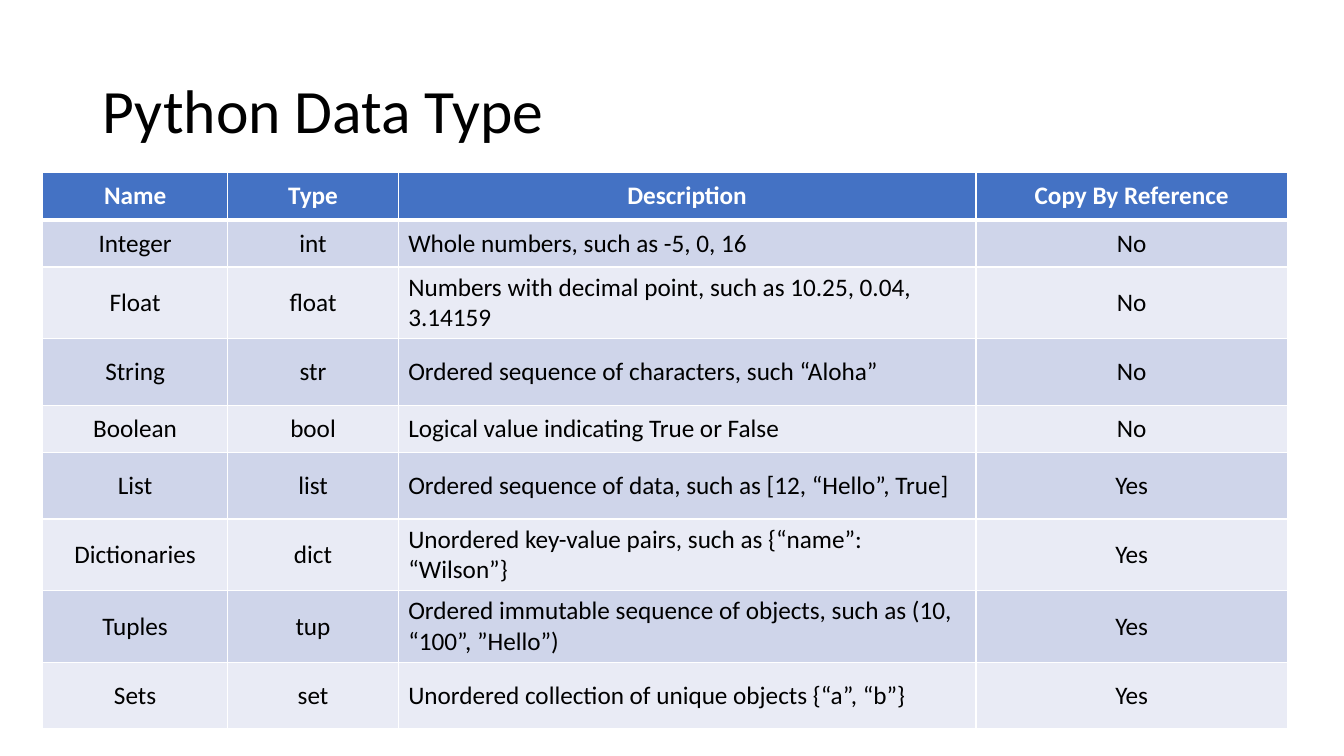
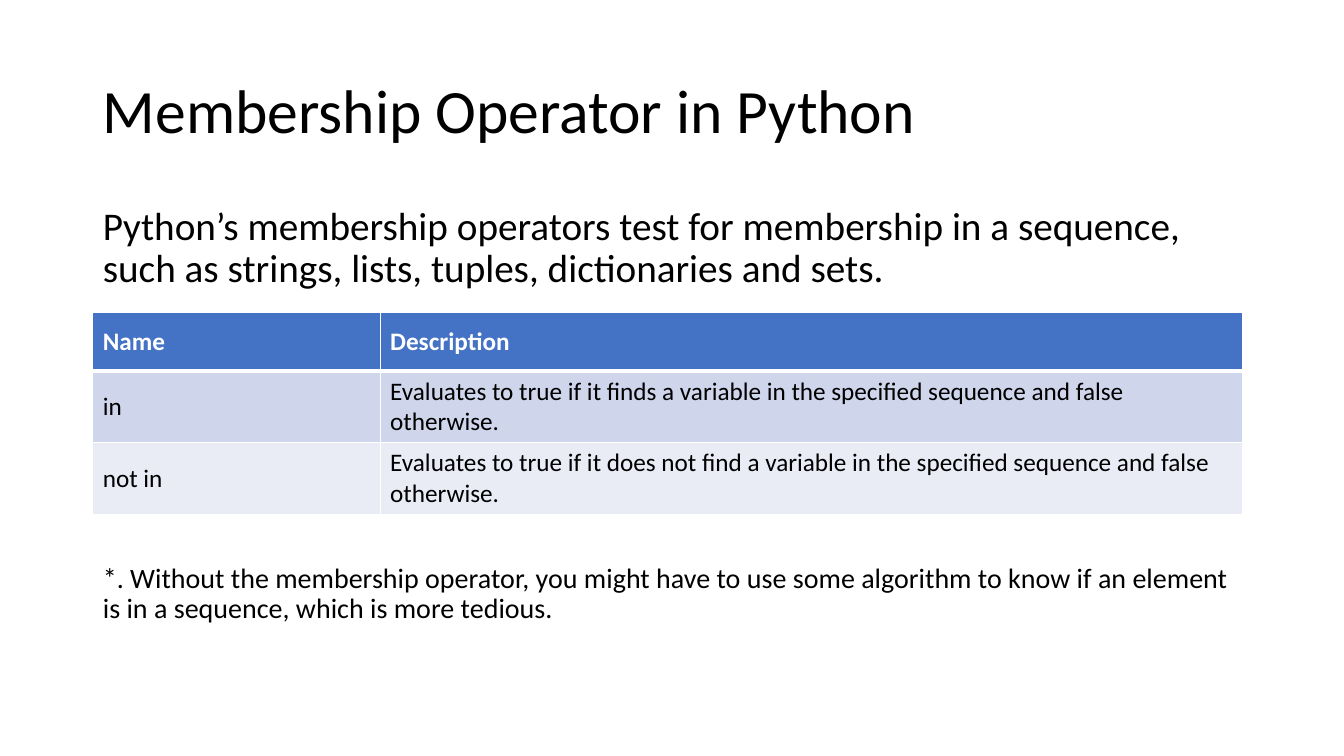
from lxml import etree
from pptx import Presentation, util as u
from pptx.dml.color import RGBColor
from pptx.enum import text
from pptx.oxml.ns import qn

PX = 9144  # EMU per px, 100 px to the inch
FONT = "Calibri"
COLORS = {"text": "000000", "header": "4472C4", "header_text": "FFFFFF",
          "band_dark": "CFD5EA", "band_light": "E9EBF5", "border": "FFFFFF"}
TITLE_ONLY, TITLE_AND_BODY = 5, 1
LEFT, CENTER = text.PP_ALIGN.LEFT, text.PP_ALIGN.CENTER


class Deck:
    """Holds the shared style and the current slide."""

    def __init__(self):
        self.prs = Presentation()
        self.prs.slide_width, self.prs.slide_height = 1333 * PX, 750 * PX
        self.s = None

    def slide(self, title, layout):
        self.s = self.prs.slides.add_slide(self.prs.slide_layouts[layout])
        sp = self.s.shapes.title
        self.place(sp, 92, 40, 1150, 145)
        tf = sp.text_frame
        tf.text = title
        tf.vertical_anchor = text.MSO_ANCHOR.MIDDLE
        self.style(tf.paragraphs[0], 44, spacing=0.9)

    def place(self, sp, x, y, w, h):
        sp.left, sp.top, sp.width, sp.height = (n * PX for n in (x, y, w, h))
        sp.text_frame.word_wrap = True
        sp.text_frame.auto_size = text.MSO_AUTO_SIZE.NONE

    def style(self, p, size, color="text", bold=False, align=LEFT, spacing=None):
        p.alignment = align
        p.line_spacing = spacing
        for r in p.runs:
            r.font.name, r.font.size, r.font.bold = FONT, u.Pt(size), bold
            r.font.color.rgb = RGBColor.from_string(COLORS[color])

    def body(self, x, y, w, h, items):
        """Fill the body with unbulleted (text, size, space before) items."""
        sp = self.s.placeholders[1]
        self.place(sp, x, y, w, h)
        tf = sp.text_frame
        tf.text = "\n".join(item[0] for item in items)
        for p, (_, size, before) in zip(tf.paragraphs, items):
            self.style(p, size, spacing=0.9)
            p.space_before = u.Pt(before)
            pPr = p._p.get_or_add_pPr()
            pPr.set("marL", "0")
            pPr.set("indent", "0")
            etree.SubElement(pPr, qn("a:buNone"))

    def borders(self, cell, top, bottom):
        tcPr = cell._tc.get_or_add_tcPr()
        sides = (("L", 1), ("R", 1), ("T", top), ("B", bottom))
        for i, (side, width) in enumerate(sides):
            ln = etree.Element(qn(f"a:ln{side}"), w=str(u.Pt(width)))
            fill = etree.SubElement(ln, qn("a:solidFill"))
            etree.SubElement(fill, qn("a:srgbClr"), val=COLORS["border"])
            tcPr.insert(i, ln)

    def table(self, x, y, cols, heights, rows, header_align, aligns):
        shape = self.s.shapes.add_table(len(rows), len(cols), x * PX, y * PX,
                                        sum(cols) * PX, sum(heights) * PX)
        tbl = shape.table
        for col, width in zip(tbl.columns, cols):
            col.width = width * PX
        for i, (row, height, values) in enumerate(zip(tbl.rows, heights, rows)):
            row.height = height * PX
            head = i == 0
            fill = "header" if head else "band_dark" if i % 2 else "band_light"
            for cell, value, align in zip(row.cells, values, aligns):
                cell.text_frame.text = value
                cell.vertical_anchor = text.MSO_ANCHOR.MIDDLE
                cell.fill.solid()
                cell.fill.fore_color.rgb = RGBColor.from_string(COLORS[fill])
                self.style(cell.text_frame.paragraphs[0], 18,
                           "header_text" if head else "text", head,
                           header_align if head else align)
                # Thick rule between the header and the first row
                self.borders(cell, 3 if i == 1 else 1, 3 if head else 1)


def main():
    deck = Deck()

    # Data types
    deck.slide("Python Data Type", TITLE_ONLY)
    low, high = 47, 66
    deck.table(
        42, 171, [184, 169, 573, 309],
        [low, low, high, high, low, high, high, high, high],
        [("Name", "Type", "Description", "Copy By Reference"),
         ("Integer", "int", "Whole numbers, such as -5, 0, 16", "No"),
         ("Float", "float",
          "Numbers with decimal point, such as 10.25, 0.04, 3.14159", "No"),
         ("String", "str", "Ordered sequence of characters, such “Aloha”", "No"),
         ("Boolean", "bool", "Logical value indicating True or False", "No"),
         ("List", "list",
          "Ordered sequence of data, such as [12, “Hello”, True]", "Yes"),
         ("Dictionaries", "dict",
          "Unordered key-value pairs, such as {“name”: “Wilson”}", "Yes"),
         ("Tuples", "tup",
          "Ordered immutable sequence of objects, such as (10, “100”, ”Hello”)",
          "Yes"),
         ("Sets", "set", "Unordered collection of unique objects {“a”, “b”}",
          "Yes")],
        CENTER, [CENTER, CENTER, LEFT, CENTER])

    # Membership operators, with the note set below the table
    deck.slide("Membership Operator in Python", TITLE_AND_BODY)
    deck.body(92, 200, 1150, 476, [
        ("Python’s membership operators test for membership in a sequence, "
         "such as strings, lists, tuples, dictionaries and sets.", 28, 10),
        ("*. Without the membership operator, you might have to use some "
         "algorithm to know if an element is in a sequence, which is more "
         "tedious.", 20, 195)])
    evaluates = "Evaluates to true if it {} a variable in the specified sequence and false otherwise."
    deck.table(
        92, 310, [285, 855], [58] * 3,
        [("Name", "Description"),
         ("in", evaluates.format("finds")),
         ("not in", evaluates.format("does not find"))],
        LEFT, [LEFT, LEFT])

    deck.prs.save("out.pptx")


if __name__ == "__main__":
    main()
